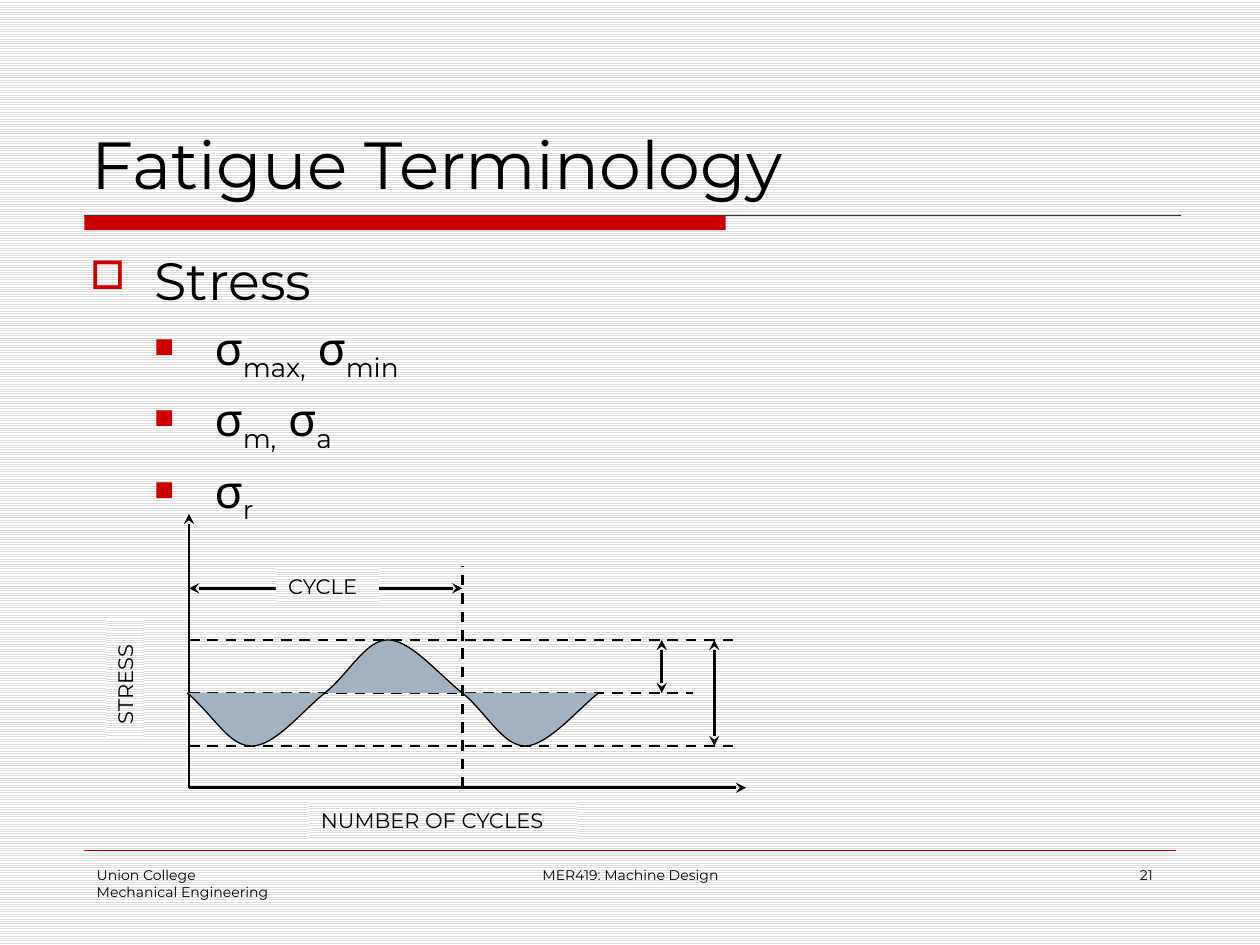
from typing import NamedTuple

from lxml.etree import SubElement
from pptx import Presentation
from pptx.dml.color import RGBColor
from pptx.enum.dml import MSO_LINE as Dash, MSO_PATTERN as Pattern
from pptx.enum.shapes import MSO_CONNECTOR as Link, MSO_SHAPE as Shape
from pptx.enum.text import MSO_ANCHOR as Anchor, PP_ALIGN as Align
from pptx.oxml.ns import qn
from pptx.util import Cm, Pt

FONT = "Montserrat"
RED, BLACK, BLUE = "CC0000", "000000", "A3B2C1"


class Rule(NamedTuple):
    x1: float
    y1: float
    x2: float
    y2: float
    dash: bool = False
    head: bool = False
    tail: bool = False


class Label(NamedTuple):
    text: str
    x: float
    y: float
    w: float
    h: float = 0.76
    turn: int = 0


class Foot(NamedTuple):
    text: str
    x: float
    w: float
    align: Align


class Item(NamedTuple):
    words: list[str]  # normal and subscript text in turn
    size: int
    mark: str
    scale: int
    left: float
    hang: float


def rgb(code: str) -> RGBColor:
    return RGBColor.from_string(code)


def hatch(fill) -> None:
    fill.patterned()
    fill.pattern = Pattern.LIGHT_HORIZONTAL
    fill.fore_color.rgb = rgb("DDDDDD")
    fill.back_color.rgb = rgb("FFFFFF")


def style(para, size: float, align: Align = Align.LEFT) -> None:
    para.alignment = align
    para.font.size = Pt(size)
    para.font.name = FONT
    para.font.color.rgb = rgb(BLACK)


def draw_rule(slide, rule: Rule, width: float = 1.5, color: str = BLACK) -> None:
    ends = (Cm(v) for v in rule[:4])
    line = slide.shapes.add_connector(Link.STRAIGHT, *ends)
    line.line.width = Pt(width)
    line.line.color.rgb = rgb(color)
    if rule.dash:
        line.line.dash_style = Dash.DASH
    props = line._element.spPr
    stroke = props.find(qn("a:ln"))
    for tag, shown in (("a:headEnd", rule.head), ("a:tailEnd", rule.tail)):
        if shown:
            SubElement(stroke, qn(tag), type="stealth")
    SubElement(props, qn("a:effectLst"))


def draw_label(slide, label: Label) -> None:
    box = slide.shapes.add_textbox(*(Cm(v) for v in label[1:5]))
    box.rotation = label.turn
    hatch(box.fill)
    box.text_frame.word_wrap = False
    box.text_frame.text = label.text
    style(box.text_frame.paragraphs[0], 12)


def draw_foot(slide, foot: Foot) -> None:
    box = slide.shapes.add_textbox(Cm(foot.x), Cm(17.35), Cm(foot.w), Cm(1.27))
    box.text_frame.word_wrap = True
    box.text_frame.text = foot.text
    for para in box.text_frame.paragraphs:
        style(para, 8, foot.align)


def fill_item(para, item: Item, first: bool) -> None:
    if not first:
        para.space_before = Pt(item.size * 0.2)
    props = para._p.get_or_add_pPr()
    props.set("marL", str(Cm(item.left)))
    props.set("indent", str(-Cm(item.hang)))
    tint = SubElement(props, qn("a:buClr"))
    SubElement(tint, qn("a:srgbClr"), val=RED)
    SubElement(props, qn("a:buSzPct"), val=str(item.scale * 1000))
    SubElement(props, qn("a:buChar"), char=item.mark)
    style(para, item.size)
    for i, text in enumerate(item.words):
        run = para.add_run()
        run.text = text
        if i % 2:
            run._r.get_or_add_rPr().set("baseline", "-25000")


def trace(knots: list[tuple], steps: int = 16) -> list[tuple]:
    """Points along a chain of cubic curves."""
    points = [knots[0]]
    for i in range(0, len(knots) - 1, 3):
        a, b, c, d = knots[i:i + 4]
        for n in range(1, steps + 1):
            t = n / steps
            u = 1 - t
            points.append(tuple(
                u**3 * p + 3 * u * u * t * q + 3 * u * t * t * r + t**3 * s
                for p, q, r, s in zip(a, b, c, d)))
    return points


# Stress levels and axes of the diagram
LEFT, BASE, CYCLE = 3.81, 15.88, 9.32
HIGH, MEAN, LOW = 12.9, 13.97, 15.04

AXES = [
    Rule(LEFT, BASE, LEFT, 10.36, tail=True),
    Rule(LEFT, BASE, 15.04, BASE, tail=True),
    Rule(LEFT, LOW, 14.81, LOW, dash=True),
    Rule(LEFT, MEAN, 13.97, MEAN, dash=True),
    Rule(LEFT, HIGH, 14.81, HIGH, dash=True),
]
SPANS = [
    Rule(CYCLE, BASE, CYCLE, 11.4, dash=True),
    Rule(LEFT, 11.86, CYCLE, 11.86, head=True, tail=True),
    Rule(13.34, HIGH, 13.34, MEAN, head=True, tail=True),
    Rule(14.4, LOW, 14.4, HIGH, head=True, tail=True),
]
WAVE = [
    (3.78, MEAN), (4.37, 14.5), (4.62, LOW), (5.08, LOW),
    (5.54, LOW), (6.1, 14.33), (6.55, MEAN),
    (7.01, 13.61), (7.37, HIGH), (7.82, HIGH),
    (8.28, HIGH), (8.86, 13.61), (CYCLE, MEAN),
    (9.78, 14.33), (10.13, LOW), (10.59, LOW),
    (11.05, LOW), (11.73, 14.22), (12.07, MEAN),
]
LABELS = [
    Label("CYCLE", 5.56, 11.43, 2.08),
    Label("STRESS", 1.32, 13.28, 2.39, turn=270),
    Label("NUMBER OF CYCLES", 6.22, 16.15, 5.41),
]
FEET = [
    Foot("Union College\nMechanical Engineering", 1.7, 5.28, Align.LEFT),
    Foot("MER419: Machine Design", 8.69, 8.05, Align.CENTER),
    Foot("21", 18.21, 5.28, Align.RIGHT),
]
TERMS = [["σ", "max,", " σ", "min"], ["σ", "m,", " σ", "a"], ["σ", "r"]]
ITEMS = [Item(["Stress"], 30, "□", 75, 1.3, 1.3)]
ITEMS += [Item(words, 26, "■", 60, 2.51, 1.22) for words in TERMS]


def main() -> None:
    deck = Presentation()
    deck.slide_width, deck.slide_height = Cm(25.4), Cm(19.05)
    slide = deck.slides.add_slide(deck.slide_layouts[5])
    hatch(slide.background.fill)

    # Title with its red band
    title = slide.shapes.title
    title.left, title.top = Cm(1.6), Cm(0.84)
    title.width, title.height = Cm(22.23), Cm(3.38)
    title.text_frame.text = "Fatigue Terminology"
    title.text_frame.vertical_anchor = Anchor.BOTTOM
    style(title.text_frame.paragraphs[0], 38)
    band = slide.shapes.add_shape(
        Shape.RECTANGLE, Cm(1.7), Cm(4.34), Cm(12.93), Cm(0.3))
    band.shadow.inherit = False
    band.fill.solid()
    band.fill.fore_color.rgb = rgb(RED)
    band.line.fill.background()
    draw_rule(slide, Rule(1.7, 4.34, 23.8, 4.34), 0.75, "333333")

    # Footer
    draw_rule(slide, Rule(1.7, 17.15, 23.7, 17.15), 0.25, RED)
    for foot in FEET:
        draw_foot(slide, foot)

    # Bullet list
    body = slide.shapes.add_textbox(Cm(1.57), Cm(4.88), Cm(10.49), Cm(4.88))
    frame = body.text_frame
    frame.word_wrap = True
    for i, item in enumerate(ITEMS):
        para = frame.add_paragraph() if i else frame.paragraphs[0]
        fill_item(para, item, i == 0)

    # Stress diagram
    for rule in AXES:
        draw_rule(slide, rule)
    start, *rest = [(Cm(x), Cm(y)) for x, y in trace(WAVE)]
    pen = slide.shapes.build_freeform(*start)
    pen.add_line_segments(rest, close=False)
    wave = pen.convert_to_shape()
    wave.shadow.inherit = False
    wave.fill.solid()
    wave.fill.fore_color.rgb = rgb(BLUE)
    wave.line.color.rgb = rgb(BLACK)
    wave.line.width = Pt(0.75)
    for rule in SPANS:
        draw_rule(slide, rule)
    for label in LABELS:
        draw_label(slide, label)

    deck.save("out.pptx")


if __name__ == "__main__":
    main()
